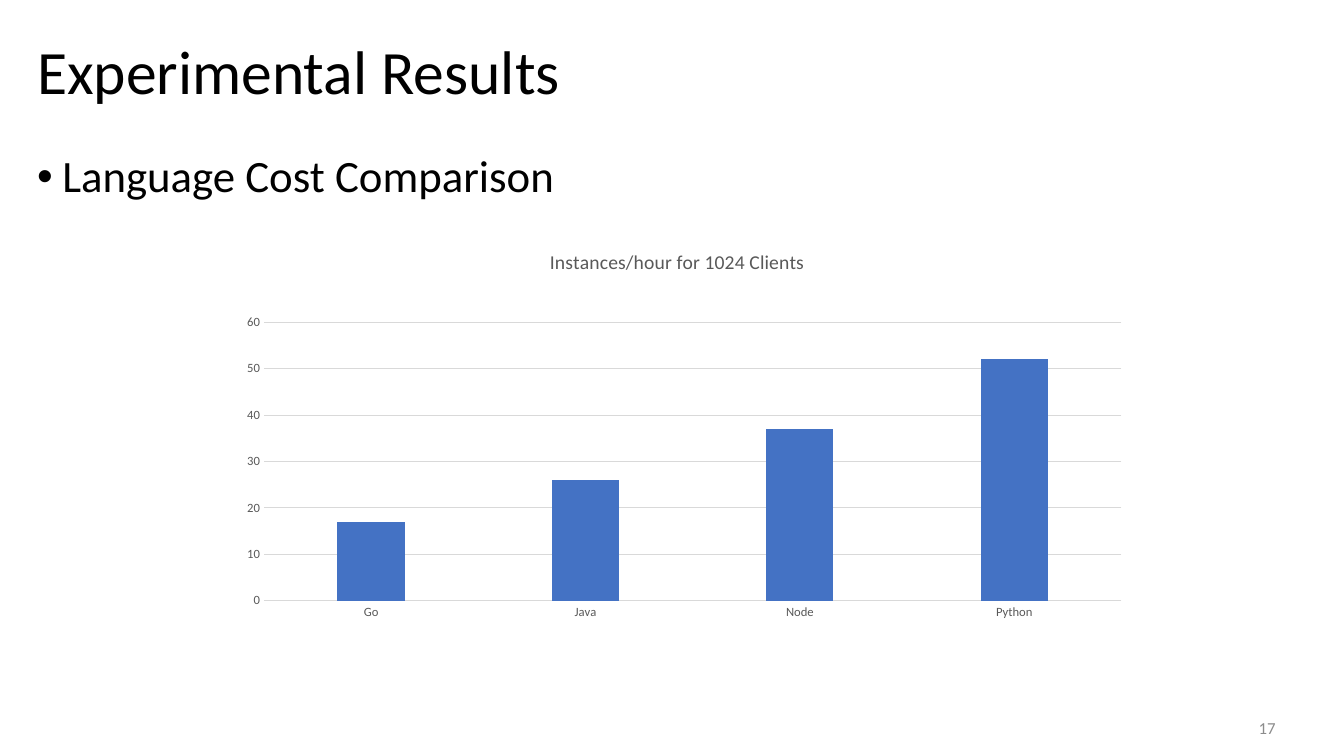
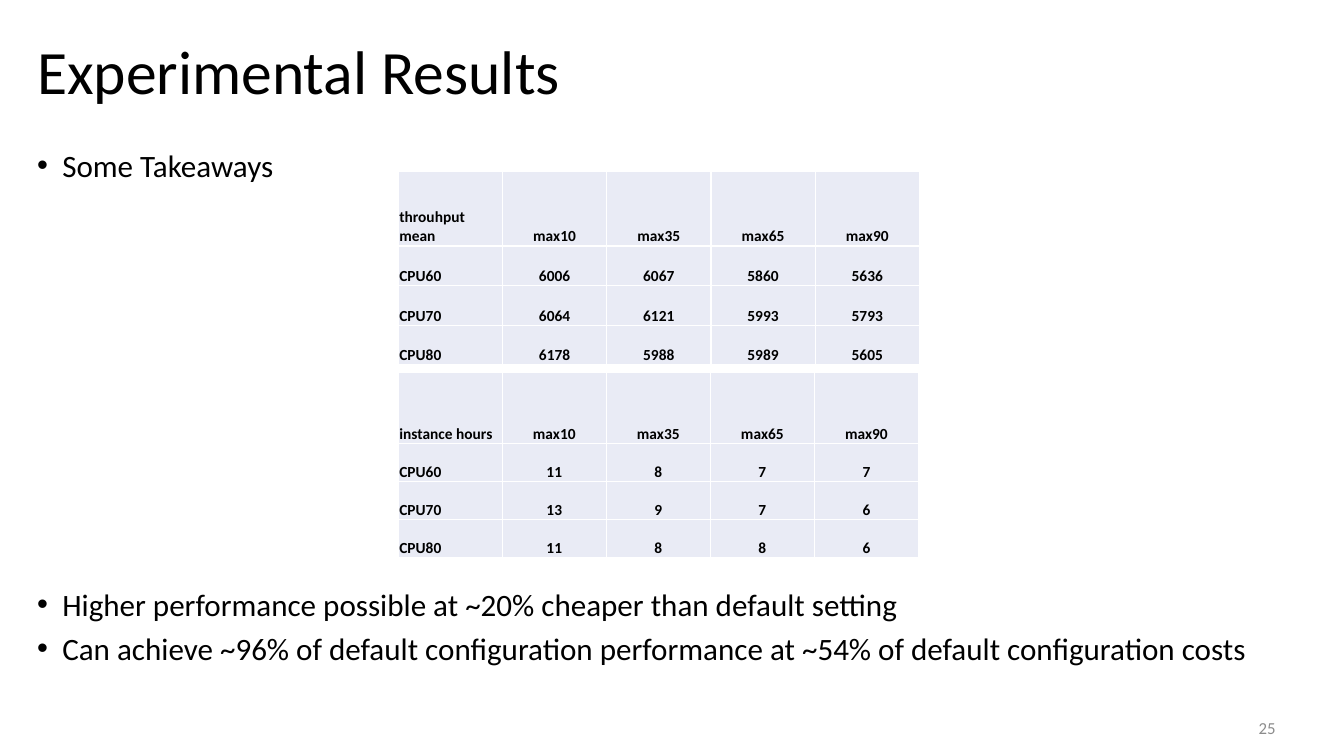
"""Build two slides of experimental results: a language cost chart and configuration takeaways."""
from lxml import etree
from pptx import Presentation
from pptx import util as u
from pptx.chart.data import CategoryChartData
from pptx.dml.color import RGBColor
from pptx.enum import chart as ch, text
from pptx.oxml import parse_xml
from pptx.oxml.ns import nsdecls, qn

FONT = "Calibri"
BLACK, GRAY, PAGE_GRAY, GRID = "000000", "595959", "8C8C8C", "D9D9D9"
BAR_BLUE, CELL_FILL, WHITE = "4472C4", "E9EBF5", "FFFFFF"
LEFT, CENTER, RIGHT = text.PP_ALIGN.LEFT, text.PP_ALIGN.CENTER, text.PP_ALIGN.RIGHT
TOP, MIDDLE = text.MSO_ANCHOR.TOP, text.MSO_ANCHOR.MIDDLE


def style(font, size, color, bold=False):
    font.name, font.size, font.bold = FONT, u.Pt(size), bold
    font.color.rgb = RGBColor.from_string(color)


def place(parent, index, **fractions):
    for old in parent.findall(qn("c:layout")):
        parent.remove(old)
    layout = parse_xml(f"<c:layout {nsdecls('c')}><c:manualLayout/></c:layout>")
    for tag, value in fractions.items():
        etree.SubElement(layout[0], qn(f"c:{tag}")).set("val", str(value))
    parent.insert(index, layout)


prs = Presentation()
prs.slide_width, prs.slide_height = u.Inches(13.33), u.Inches(7.5)

TITLE_BOX = (0.27, 0.23, 12.76, 1.01)
BODY_BOX = (0.27, 1.48, 12.76, 5.33)
PAGE_BOX = (9.42, 7.02, 3.33, 0.4)
pages = [
    ("17", 32, 0.9, [("Language Cost Comparison", 10)]),
    ("25", 22.2, 0.8, [
        ("Some Takeaways", 10),
        ("Higher performance possible at ~20% cheaper than default setting", 292),
        ("Can achieve ~96% of default configuration performance at ~54% of default configuration costs", 10),
    ]),
]

slides = []
for number, body_size, body_spacing, bullets in pages:
    slide = prs.slides.add_slide(prs.slide_layouts[6])
    slides.append(slide)
    for box, lines, size, color, align, anchor, spacing in [
        (PAGE_BOX, [(number, 0)], 12, PAGE_GRAY, RIGHT, MIDDLE, 1.0),
        (TITLE_BOX, [("Experimental Results", 0)], 44, BLACK, LEFT, MIDDLE, 0.9),
        (BODY_BOX, bullets, body_size, BLACK, LEFT, TOP, body_spacing),
    ]:
        frame = slide.shapes.add_textbox(*map(u.Inches, box)).text_frame
        frame.word_wrap, frame.vertical_anchor = True, anchor
        for i, (line, space_before) in enumerate(lines):
            paragraph = frame.add_paragraph() if i else frame.paragraphs[0]
            paragraph.text, paragraph.alignment = line, align
            paragraph.line_spacing, paragraph.space_before = spacing, u.Pt(space_before)
            if lines is bullets:
                props = paragraph._p.get_or_add_pPr()
                props.set("marL", str(u.Inches(0.25)))
                props.set("indent", str(-u.Inches(0.25)))
                etree.SubElement(props, qn("a:buFont")).set("typeface", "Arial")
                etree.SubElement(props, qn("a:buChar")).set("char", "•")
            style(paragraph.font, size, color)

cost_slide, takeaway_slide = slides

costs = CategoryChartData()
costs.categories = ["Go", "Java", "Node", "Python"]
costs.add_series("Series 1", [17, 26, 37, 52])
cost_chart = cost_slide.shapes.add_chart(
    ch.XL_CHART_TYPE.COLUMN_CLUSTERED, *map(u.Inches, (1.93, 2.21, 9.43, 4.37)), costs).chart
style(cost_chart.font, 10, BLACK)
cost_chart.has_legend = False
heading = cost_chart.chart_title.text_frame.paragraphs[0]
heading.text = "Instances/hour for 1024 Clients"
style(heading.font, 14, GRAY)
place(cost_chart.chart_title.element, 1, xMode="edge", yMode="edge", x=0.37, y=0.05)
place(cost_chart.element.find(f".//{qn('c:plotArea')}"), 0, layoutTarget="inner",
      xMode="edge", yMode="edge", x=0.073, y=0.226, w=0.902, h=0.632)

columns = cost_chart.plots[0]
columns.gap_width, columns.overlap, columns.vary_by_categories = 219, -27, False
columns.series[0].format.fill.solid()
columns.series[0].format.fill.fore_color.rgb = RGBColor.from_string(BAR_BLUE)

languages, instances = cost_chart.category_axis, cost_chart.value_axis
instances.minimum_scale, instances.maximum_scale, instances.major_unit = 0, 60, 10
for axis in (languages, instances):
    axis.major_tick_mark = axis.minor_tick_mark = ch.XL_TICK_MARK.NONE
    style(axis.tick_labels.font, 9, GRAY)
instances.format.line.fill.background()
for line in (languages.format.line, instances.major_gridlines.format.line):
    line.width = u.Pt(0.75)
    line.color.rgb = RGBColor.from_string(GRID)

measurements = [
    (1.7, 5.17, 1.92, 0.74, "throuhput mean",
     [(6006, 6067, 5860, 5636), (6064, 6121, 5993, 5793), (6178, 5988, 5989, 5605)]),
    (3.69, 5.16, 1.84, 0.71, "instance hours",
     [(11, 8, 7, 7), (13, 9, 7, 6), (11, 8, 8, 6)]),
]
for top, width, height, header_height, measure, results in measurements:
    rows = [(measure, "max10", "max35", "max65", "max90")]
    rows += [(cpu, *values) for cpu, values in zip(("CPU60", "CPU70", "CPU80"), results)]
    grid = takeaway_slide.shapes.add_table(
        len(rows), len(rows[0]), *map(u.Inches, (3.95, top, width, height))).table
    grid.first_row = grid.horz_banding = False
    for r, row in enumerate(rows):
        grid.rows[r].height = u.Inches((height - header_height) / len(results) if r else header_height)
        for c, value in enumerate(row):
            cell = grid.cell(r, c)
            cell.margin_left = cell.margin_right = cell.margin_top = u.Inches(0.01)
            cell.margin_bottom = 0
            cell.vertical_anchor = text.MSO_ANCHOR.BOTTOM
            for side in ("lnL", "lnR", "lnT", "lnB"):
                cell._tc.get_or_add_tcPr().append(parse_xml(
                    f'<a:{side} {nsdecls("a")} w="{u.Pt(1)}"><a:solidFill>'
                    f'<a:srgbClr val="{WHITE}"/></a:solidFill></a:{side}>'))
            cell.fill.solid()
            cell.fill.fore_color.rgb = RGBColor.from_string(CELL_FILL)
            paragraph = cell.text_frame.paragraphs[0]
            paragraph.text = str(value)
            paragraph.alignment = CENTER if c else LEFT
            style(paragraph.font, 11, BLACK, bold=True)

prs.save("out.pptx")
